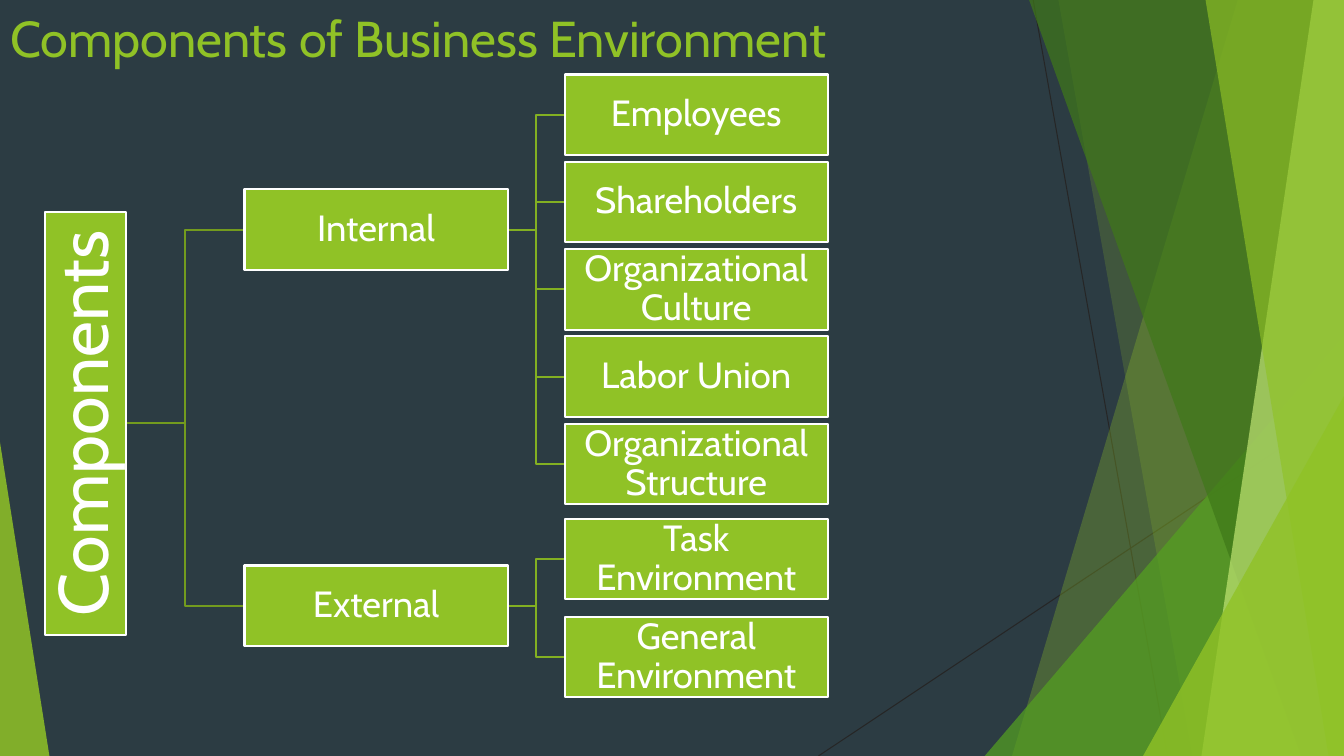
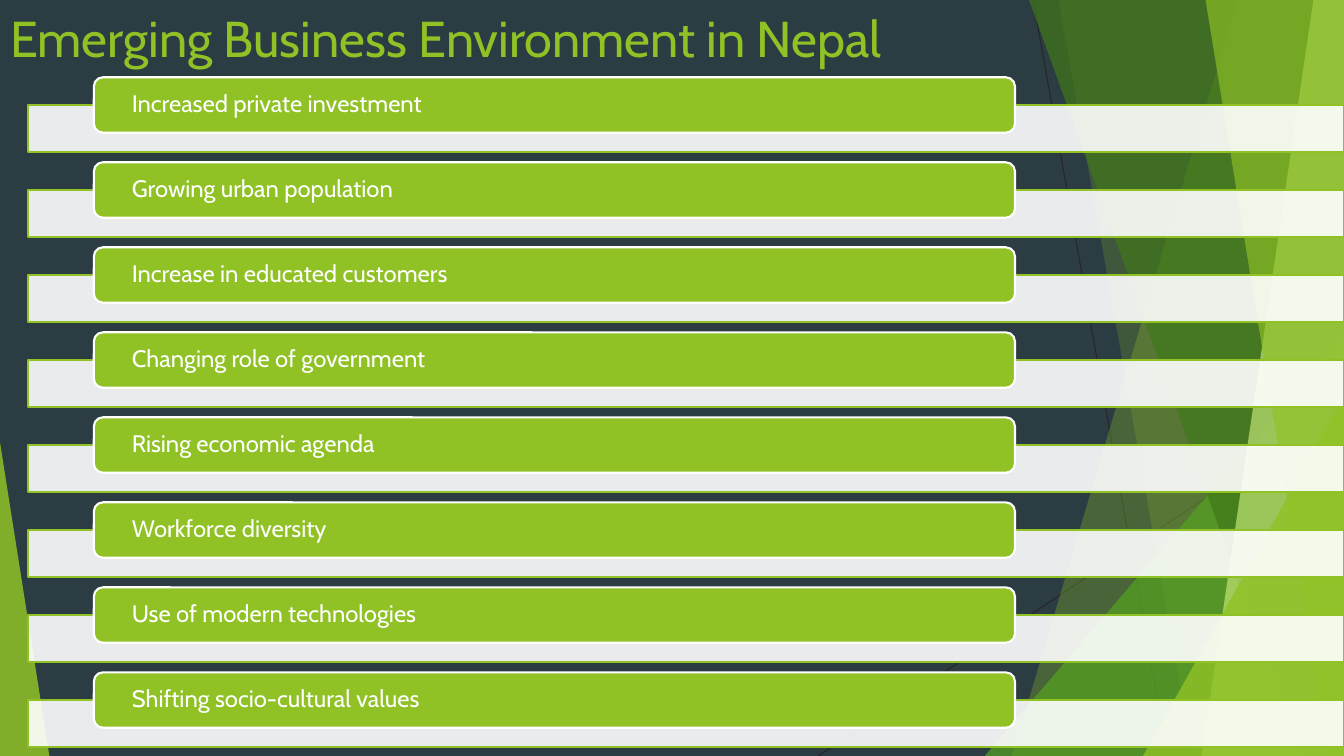
import lxml.etree
import pptx
import pptx.dml.color
import pptx.enum.shapes
import pptx.enum.text
import pptx.oxml.ns
import pptx.util

Pt = pptx.util.Pt
RGBColor = pptx.dml.color.RGBColor
SHAPE = pptx.enum.shapes.MSO_SHAPE
ALIGN = pptx.enum.text.PP_ALIGN

SLATE = RGBColor(0x2C, 0x3C, 0x43)
LIME = RGBColor(0x90, 0xC2, 0x26)
PALE_LIME = RGBColor(0xC0, 0xE4, 0x74)
GREEN = RGBColor(0x54, 0xA0, 0x21)
FOREST = RGBColor(0x3F, 0x78, 0x19)
TRUNK_GREEN = RGBColor(0x73, 0x9B, 0x1E)
BRANCH_GREEN = RGBColor(0x83, 0xB0, 0x22)
CHARCOAL = RGBColor(0x26, 0x26, 0x26)
WHITE = RGBColor(0xFF, 0xFF, 0xFF)
FONT = "Cabin"
WIDTH, HEIGHT = 960, 540


def put_text(shape, text, size=26, color=WHITE, align=ALIGN.CENTER,
             spacing=0.9, side=1.5, edge=1.5):
    frame = shape.text_frame
    frame.word_wrap = True
    frame.vertical_anchor = pptx.enum.text.MSO_ANCHOR.MIDDLE
    frame.margin_left = frame.margin_right = Pt(side)
    frame.margin_top = frame.margin_bottom = Pt(edge)
    para = frame.paragraphs[0]
    para.alignment = align
    para.line_spacing = spacing
    span = para.add_run()
    span.text = text
    span.font.name = FONT
    span.font.size = Pt(size)
    span.font.color.rgb = color


def paint(shape, fill=None, opacity=100, line=None):
    shape.shadow.inherit = False
    if fill is None:
        shape.fill.background()
    else:
        shape.fill.solid()
        shape.fill.fore_color.rgb = fill
        if opacity < 100:
            tint = shape.element.xpath("./p:spPr/a:solidFill/a:srgbClr")[0]
            lxml.etree.SubElement(tint, pptx.oxml.ns.qn("a:alpha"),
                                  val=str(opacity * 1000))
    if line is None:
        shape.line.fill.background()
    else:
        shape.line.color.rgb = line
        shape.line.width = Pt(1.5)


deck = pptx.Presentation()
deck.slide_width, deck.slide_height = Pt(WIDTH), Pt(HEIGHT)
master = deck.slide_master
layout = deck.slide_layouts.get_by_name("Title Only")

# Shared background and title position
master.background.fill.solid()
master.background.fill.fore_color.rgb = SLATE
title_area = layout.placeholders[0]
title_area.left, title_area.top = Pt(0), Pt(0)
title_area.width, title_area.height = Pt(677), Pt(54)

# Both pages with their titles
pages = []
for title in ("Components of Business Environment",
              "Emerging Business Environment in Nepal"):
    page = deck.slides.add_slide(layout)
    put_text(page.shapes.title, title, size=36, color=LIME,
             align=ALIGN.LEFT, spacing=1, side=7.2, edge=3.6)
    pages.append(page)
tree_page, trends_page = pages

# Shared facets: drawn on the first page, then moved to the master
decor = []
for x1, y1, x2, y2 in ((738, 0, 834, HEIGHT), (WIDTH, 290, 584.6, HEIGHT)):
    ray = tree_page.shapes.add_connector(
        pptx.enum.shapes.MSO_CONNECTOR.STRAIGHT, Pt(x1), Pt(y1), Pt(x2), Pt(y2))
    ray.line.color.rgb = CHARCOAL
    ray.line.width = Pt(0.75)
    lxml.etree.SubElement(ray.element.spPr, pptx.oxml.ns.qn("a:effectLst"))
    decor.append(ray)

# A panel is (top x, bottom x); a wedge is (left, top, width, apex)
facets = [
    ((884.2, 722.9), LIME, 30),
    ((756, 851.8), LIME, 20),
    ((703.4, 239.8, 256.6, 1), GREEN, 72),
    ((735.1, 929.5), FOREST, 70),
    ((938.2, 858.2), PALE_LIME, 70),
    ((861.1, 949), LIME, 65),
    ((816.5, 283, 143.5, 1), LIME, 80),
    ((0, 316, 35.3, 0), LIME, 85),
]
for geometry, color, opacity in facets:
    if len(geometry) == 2:
        top_x, bottom_x = geometry
        outline = tree_page.shapes.build_freeform(Pt(top_x), Pt(0))
        outline.add_line_segments([(Pt(WIDTH), Pt(0)), (Pt(WIDTH), Pt(HEIGHT)),
                                   (Pt(bottom_x), Pt(HEIGHT))])
        facet = outline.convert_to_shape()
    else:
        left, top, width, apex = geometry
        facet = tree_page.shapes.add_shape(
            SHAPE.ISOSCELES_TRIANGLE, Pt(left), Pt(top), Pt(width), Pt(HEIGHT - top))
        facet.adjustments[0] = apex
    paint(facet, color, opacity)
    decor.append(facet)

for number, item in enumerate(decor, 100):
    item.element.xpath(".//p:cNvPr")[0].set("id", str(number))
    master.shapes.element.append(item.element)

# Component tree: name, top, first leaf top, leaf step, leaves
BOX_WIDTH, BOX_HEIGHT = 188, 57.6
ROOT_LENGTH, ROOT_RIGHT, ROOT_MIDDLE = 301.7, 90, 302.4
BRANCH_LEFT, LEAF_LEFT = 174.7, 403.4
branches = [
    ("Internal", 135.2, 53.2, 62.35,
     ["Employees", "Shareholders", "Organizational Culture", "Labor Union",
      "Organizational Structure"]),
    ("External", 404, 370.6, 70, ["Task Environment", "General Environment"]),
]
boxes, links = [], []
for name, top, first, step, leaves in branches:
    middle = top + BOX_HEIGHT / 2
    boxes.append((name, BRANCH_LEFT, top))
    links.append((ROOT_RIGHT, ROOT_MIDDLE, BRANCH_LEFT, middle, TRUNK_GREEN))
    for row, leaf in enumerate(leaves):
        leaf_top = first + row * step
        boxes.append((leaf, LEAF_LEFT, leaf_top))
        links.append((BRANCH_LEFT + BOX_WIDTH, middle,
                      LEAF_LEFT, leaf_top + BOX_HEIGHT / 2, BRANCH_GREEN))

for x1, y1, x2, y2, color in links:
    bend = (x1 + x2) / 2
    outline = tree_page.shapes.build_freeform(Pt(x1), Pt(y1))
    outline.add_line_segments([(Pt(bend), Pt(y1)), (Pt(bend), Pt(y2)),
                               (Pt(x2), Pt(y2))], close=False)
    paint(outline.convert_to_shape(), line=color)

root = tree_page.shapes.add_shape(
    SHAPE.RECTANGLE, Pt(ROOT_RIGHT - (BOX_HEIGHT + ROOT_LENGTH) / 2),
    Pt(ROOT_MIDDLE - BOX_HEIGHT / 2), Pt(ROOT_LENGTH), Pt(BOX_HEIGHT))
root.rotation = 270
paint(root, LIME, line=WHITE)
put_text(root, "Components", size=50, side=2.3, edge=2.3)

for name, left, top in boxes:
    box = tree_page.shapes.add_shape(
        SHAPE.RECTANGLE, Pt(left), Pt(top), Pt(BOX_WIDTH), Pt(BOX_HEIGHT))
    paint(box, LIME, line=WHITE)
    put_text(box, name)

# Trend list: a label over a translucent bar in each row
trends = ["Increased private investment", "Growing urban population",
          "Increase in educated customers", "Changing role of government",
          "Rising economic agenda", "Workforce diversity",
          "Use of modern technologies", "Shifting socio-cultural values"]
for row, trend in enumerate(trends):
    top = 55.2 + row * 60.72
    bar = trends_page.shapes.add_shape(
        SHAPE.RECTANGLE, Pt(20), Pt(top + 19.6), Pt(940), Pt(33.8))
    paint(bar, WHITE, 90, line=LIME)
    label = trends_page.shapes.add_shape(
        SHAPE.ROUNDED_RECTANGLE, Pt(67), Pt(top), Pt(658), Pt(39.6))
    paint(label, LIME, line=WHITE)
    put_text(label, trend, size=17, align=ALIGN.LEFT, side=25.2, edge=0)

deck.save("out.pptx")
